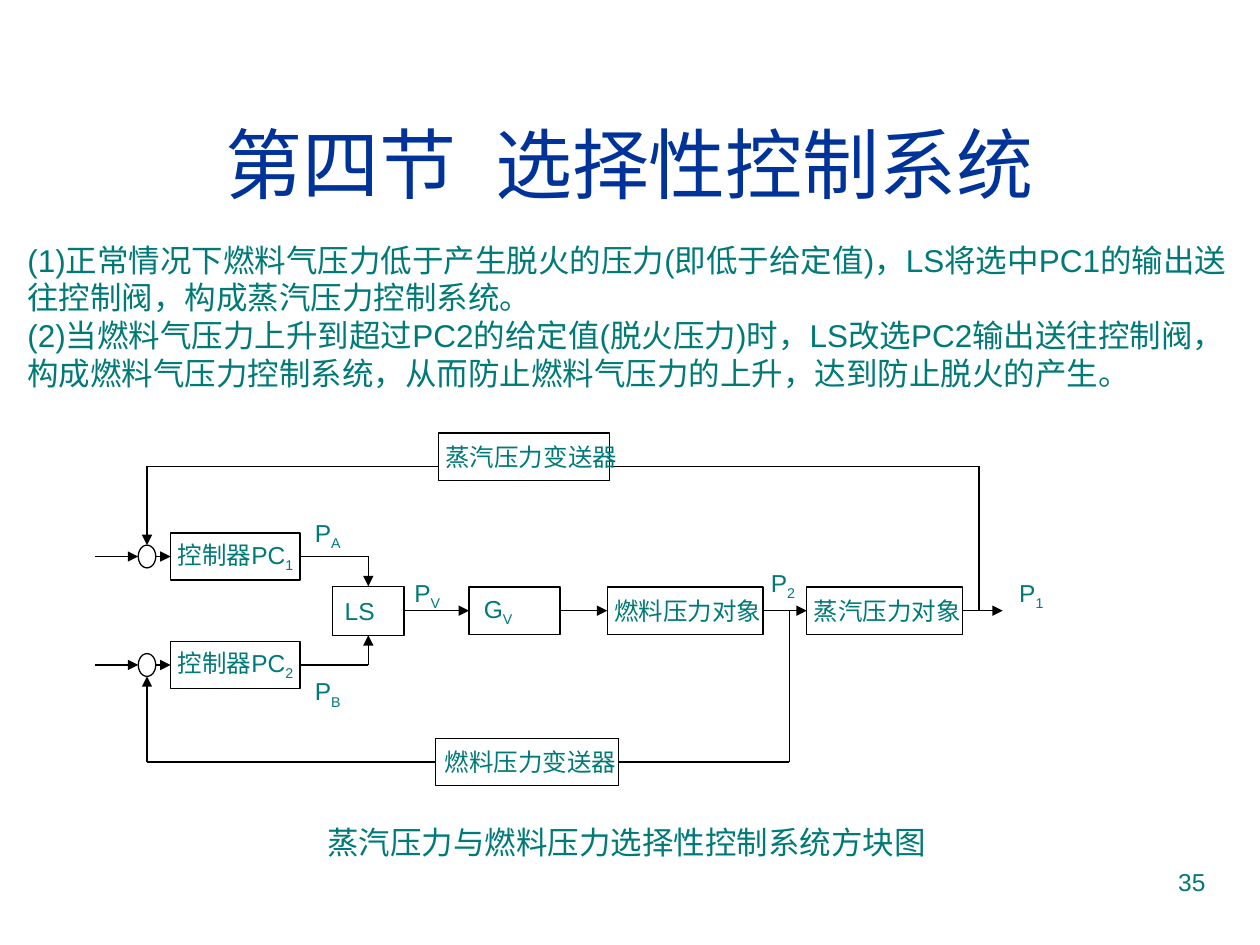
from lxml import etree
from pptx import Presentation
from pptx.dml.color import RGBColor
from pptx.enum import shapes, text
from pptx.oxml import ns
from pptx.util import Pt

TEAL = RGBColor(0x00, 0x7A, 0x77)
NAVY = RGBColor(0x00, 0x33, 0x99)
BLACK = RGBColor(0, 0, 0)
WHITE = RGBColor(0xFF, 0xFF, 0xFF)
TOP, LEFT, BOTTOM, RIGHT = range(4)


def style(run, size, color=TEAL, font="Arial"):
    run.font.size = Pt(size)
    run.font.name = font
    run.font.color.rgb = color


def write(frame, paragraphs, size, color=TEAL, font="Arial",
          align=text.PP_ALIGN.LEFT):
    for i, words in enumerate(paragraphs):
        paragraph = frame.paragraphs[0] if i == 0 else frame.add_paragraph()
        paragraph.text = words
        paragraph.alignment = align
        style(paragraph.runs[0], size, color, font)


def write_symbol(frame, label, subscript=""):
    write(frame, [label], 14)
    if subscript:
        sub = frame.paragraphs[0].add_run()
        sub.text = subscript
        style(sub, 14)
        sub.font._element.set("baseline", "-25000")


def text_area(slide, left, top, width, height, wrap=True):
    area = slide.shapes.add_textbox(Pt(left), Pt(top), Pt(width), Pt(height))
    area.text_frame.word_wrap = wrap
    return area.text_frame


def outlined(slide, kind, left, middle, width, height):
    """Add a white shape with a thin black outline, centred on height middle."""
    shape = slide.shapes.add_shape(
        kind, Pt(left), Pt(middle - height / 2), Pt(width), Pt(height))
    shape.shadow.inherit = False
    shape.fill.solid()
    shape.fill.fore_color.rgb = WHITE
    shape.line.color.rgb = BLACK
    shape.line.width = Pt(0.75)
    return shape


def block(slide, left, middle, width, label, subscript="", height=27, inset=4):
    rect = outlined(slide, shapes.MSO_SHAPE.RECTANGLE, left, middle, width, height)
    frame = rect.text_frame
    frame.word_wrap = False
    frame.vertical_anchor = text.MSO_ANCHOR.MIDDLE
    frame.margin_left, frame.margin_right = Pt(inset), 0
    frame.margin_top = frame.margin_bottom = 0
    write_symbol(frame, label, subscript)
    return rect


def wire(slide, start, end, arrow=False):
    """Draw a line; each end is an (x, y) point or a (block, side) pair."""
    line = slide.shapes.add_connector(shapes.MSO_CONNECTOR.STRAIGHT, 0, 0, 0, 0)
    if isinstance(start[0], (int, float)):
        line.begin_x, line.begin_y = Pt(start[0]), Pt(start[1])
    else:
        line.begin_connect(*start)
    if isinstance(end[0], (int, float)):
        line.end_x, line.end_y = Pt(end[0]), Pt(end[1])
    else:
        line.end_connect(*end)
    line.line.color.rgb = BLACK
    line.line.width = Pt(0.75)
    if arrow:
        etree.SubElement(line.line._get_or_add_ln(), ns.qn("a:tailEnd"),
                         type="triangle")
    etree.SubElement(line._element.spPr, ns.qn("a:effectLst"))


def path_of_wires(slide, points):
    """Draw wires through the points, with an arrow on the last one."""
    for i in range(len(points) - 1):
        wire(slide, points[i], points[i + 1], arrow=i == len(points) - 2)


def title(slide, left, top, width, height):
    frame = text_area(slide, left, top, width, height)
    frame.vertical_anchor = text.MSO_ANCHOR.MIDDLE
    write(frame, ["第四节"], 44, NAVY, align=text.PP_ALIGN.CENTER)
    for words in (" ", "选择性控制系统"):
        run = frame.paragraphs[0].add_run()
        run.text = words
        style(run, 44, NAVY)
        if words == " ":
            run.font._element.set("spc", "1200")


def explanation(slide, left, top, width, height):
    write(text_area(slide, left, top, width, height), [
        "(1)正常情况下燃料气压力低于产生脱火的压力(即低于给定值)，"
        "LS将选中PC1的输出送往控制阀，构成蒸汽压力控制系统。",
        "(2)当燃料气压力上升到超过PC2的给定值(脱火压力)时，"
        "LS改选PC2输出送往控制阀，构成燃料气压力控制系统，"
        "从而防止燃料气压力的上升，达到防止脱火的产生。",
    ], 18)


def control_diagram(slide, left, top):
    row, steam_row, fuel_row = top + 102, top + 71, top + 133
    steam_return, fuel_return = top + 19.4, top + 188.5
    sum_x, sum_width, sum_height = left + 30, 10, 13
    steam_tap, fuel_tap = left + 505.4, left + 397

    # Feedback loops run behind the transmitters
    path_of_wires(slide, [
        (steam_tap, row), (steam_tap, steam_return), (sum_x, steam_return),
        (sum_x, steam_row - sum_height / 2)])
    path_of_wires(slide, [
        (fuel_tap, row), (fuel_tap, fuel_return), (sum_x, fuel_return),
        (sum_x, fuel_row + sum_height / 2)])
    block(slide, left + 196.5, top + 14, 98, "蒸汽压力变送器")
    block(slide, left + 195, fuel_return, 104.5, "燃料压力变送器", inset=5)

    # Main row
    selector = block(slide, left + 136, row, 41, "LS", height=28, inset=7)
    valve = block(slide, left + 214, row, 52, "G", "V", inset=8.5)
    fuel = block(slide, left + 293, row, 89, "燃料压力对象")
    steam = block(slide, left + 407, row, 89, "蒸汽压力对象")
    chain = [selector, valve, fuel, steam]
    for source, target in zip(chain, chain[1:]):
        wire(slide, (source, RIGHT), (target, LEFT), arrow=True)
    wire(slide, (steam, RIGHT), (left + 519, row), arrow=True)

    # Controllers feeding the selector
    for number, middle, side in (("1", steam_row, TOP), ("2", fuel_row, BOTTOM)):
        controller = block(slide, left + 43.5, middle, 74, "控制器PC", number)
        outlined(slide, shapes.MSO_SHAPE.OVAL, sum_x - sum_width / 2, middle,
                 sum_width, sum_height)
        wire(slide, (left, middle), (sum_x - sum_width / 2, middle), arrow=True)
        wire(slide, (sum_x + sum_width / 2, middle), (controller, LEFT), arrow=True)
        path_of_wires(slide, [(controller, RIGHT), (left + 156.5, middle),
                              (selector, side)])

    for subscript, x, y in (("A", 118.8, 45.3), ("B", 118.8, 136),
                            ("V", 175.7, 79.9), ("2", 379.4, 74),
                            ("1", 521.3, 79.9)):
        write_symbol(text_area(slide, left + x, top + y, 40, 27), "P", subscript)


def caption(slide, left, top, width, height):
    write(text_area(slide, left, top, width, height, wrap=False),
          ["蒸汽压力与燃料压力选择性控制系统方块图"], 18, font="Noto Sans CJK SC")


def page_number(slide, left, top, width, height):
    write(text_area(slide, left, top, width, height), ["35"], 14,
          align=text.PP_ALIGN.RIGHT)


def main():
    deck = Presentation()
    deck.slide_width, deck.slide_height = Pt(720), Pt(540)
    slide = deck.slides.add_slide(deck.slide_layouts[6])
    title(slide, 24, 48, 672, 90)
    explanation(slide, 8.6, 134, 701.5, 93.6)
    control_diagram(slide, 54, 247)
    caption(slide, 180, 467, 360, 29)
    page_number(slide, 516, 492, 180, 37)
    deck.save("out.pptx")


if __name__ == "__main__":
    main()
